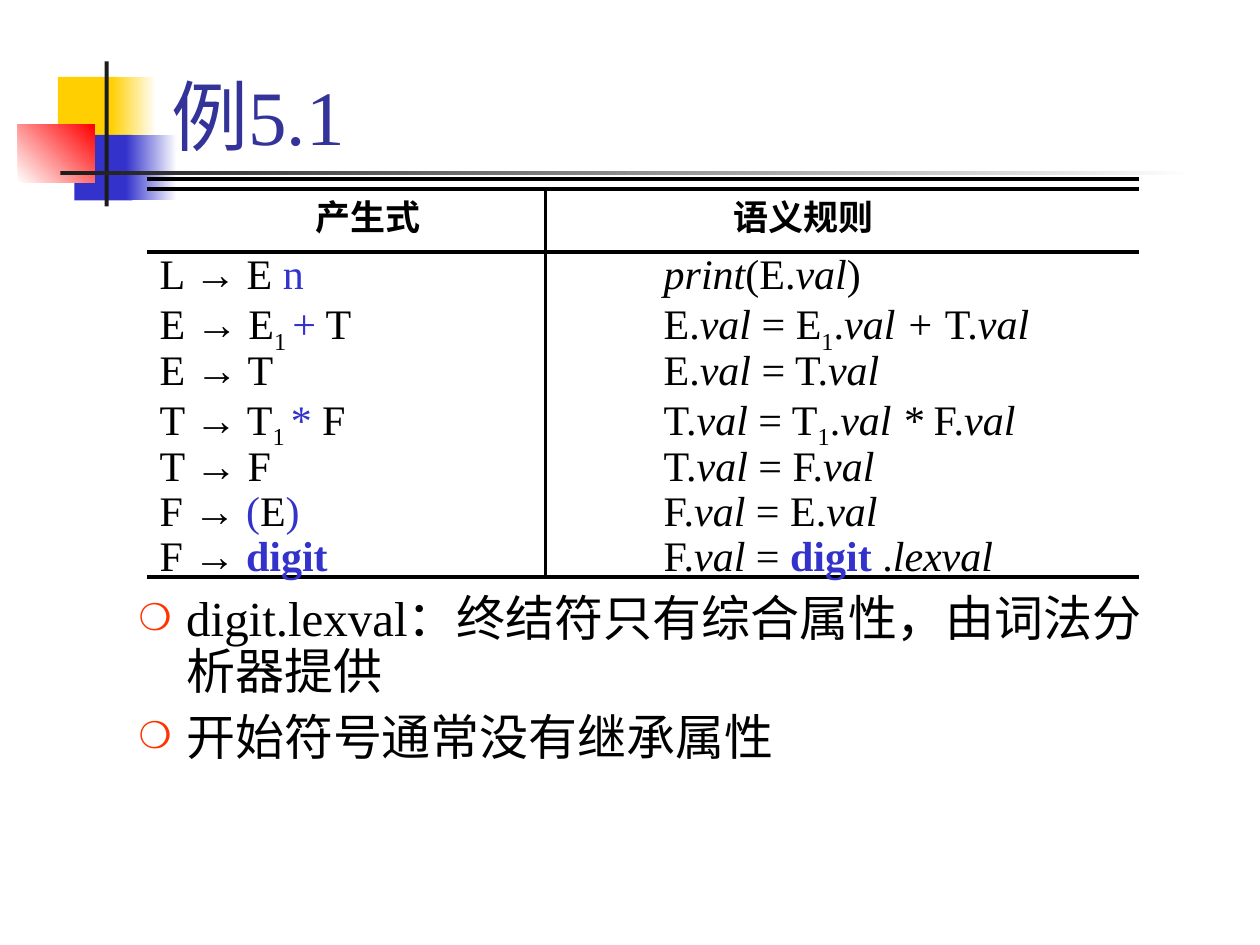
from lxml import etree
from pptx import Presentation
from pptx.dml.color import RGBColor
from pptx.enum.dml import MSO_LINE
from pptx.enum.shapes import MSO_CONNECTOR, MSO_SHAPE
from pptx.enum.text import MSO_ANCHOR, MSO_AUTO_SIZE, PP_ALIGN
from pptx.oxml.ns import qn
from pptx.util import Cm, Pt

RECTANGLE = MSO_SHAPE.RECTANGLE
STRAIGHT = MSO_CONNECTOR.STRAIGHT
SOLID = MSO_LINE.SOLID
BOTTOM, TOP = MSO_ANCHOR.BOTTOM, MSO_ANCHOR.TOP
NO_FIT, GROW = MSO_AUTO_SIZE.NONE, MSO_AUTO_SIZE.SHAPE_TO_FIT_TEXT
LEFT, CENTER = PP_ALIGN.LEFT, PP_ALIGN.CENTER

COLORS = {
    "yellow": "FFCF01", "blue": "3333CC", "red": "FF0000", "dark": "1C1C1C",
    "white": "FFFFFF", "black": "000000", "title": "333399", "bullet": "FF3300",
}
FONT = "Times New Roman"

TITLE = "例5.1"
NOTES = ["digit.lexval：终结符只有综合属性，由词法分析器提供", "开始符号通常没有继承属性"]
HEADERS = [("产生式", 5.51, 3.81), ("语义规则", 13.97, 4.45)]

STYLES = {
    "plain": {},
    "arrow": {"font": "Arial"},
    "italic": {"italic": True},
    "sub": {"subscript": True},
    "token": {"color": "blue"},
    "keyword": {"color": "blue", "bold": True},
}
VAL = ("val", "italic")
RULES = [
    ("L", ["E ", ("n", "token")], [("print", "italic"), "(E.", VAL, ")"]),
    ("E", ["E", ("1 ", "sub"), ("+", "token"), " T"],
     ["E.", VAL, " = E", ("1", "sub"), ".", ("val + ", "italic"), "T.", VAL]),
    ("E", ["T"], ["E.", VAL, " = T.", VAL]),
    ("T", ["T", ("1 ", "sub"), ("*", "token"), " F"],
     ["T.", VAL, " = T", ("1", "sub"), ".", ("val * ", "italic"), "F.", VAL]),
    ("T", ["F"], ["T.", VAL, " = F.", VAL]),
    ("F", [("(", "token"), "E", (")", "token")], ["F.", VAL, " = E.", VAL]),
    ("F", [("digit", "keyword")],
     ["F.", VAL, " = ", ("digit ", "keyword"), ".", ("lexval", "italic")]),
]

DECORATIONS = [
    (1.17, 1.55, 1.22, 1.32, ["yellow"], 0),
    (2.24, 1.55, 0.91, 1.32, ["yellow", "white"], 0),
    (1.5, 2.72, 1.17, 1.32, ["blue"], 0),
    (2.54, 2.72, 1.02, 1.32, ["blue", "white"], 0),
    (0.36, 2.51, 1.55, 1.17, ["white", "red"], 45),
    (2.11, 1.24, 0.08, 2.92, ["dark"], 0),
    (1.22, 3.45, 22.86, 0.08, ["dark", "white"], 0),
]

TABLE_LEFT, TABLE_RIGHT, DIVIDER = 2.97, 22.96, 11
TABLE_TOP, HEADER_TOP, RULES_TOP, TABLE_BOTTOM = 3.61, 3.81, 5.08, 11.63
RULE_TAB = 10.16


def rgb(name):
    return RGBColor.from_string(COLORS[name])


def add_run(paragraph, text, size=24, font=FONT, color="black",
            bold=False, italic=False, subscript=False):
    run = paragraph.add_run()
    run.text = text
    run.font.size = Pt(size)
    run.font.name = font
    run.font.color.rgb = rgb(color)
    run.font.bold = bold
    run.font.italic = italic
    if subscript:
        run.font._element.set("baseline", "-25000")


def format_paragraph(paragraph, align=LEFT, before=0, spacing=1.0):
    paragraph.alignment = align
    paragraph.space_before = Pt(before)
    paragraph.line_spacing = spacing


def add_property(paragraph, tag, **attributes):
    properties = paragraph._p.get_or_add_pPr()
    return etree.SubElement(properties, qn(tag), attributes)


def place(shape, left, top, width, height):
    shape.left, shape.top = Cm(left), Cm(top)
    shape.width, shape.height = Cm(width), Cm(height)


def paragraphs_of(frame, count):
    return [frame.paragraphs[0]] + [frame.add_paragraph() for _ in range(count - 1)]


def add_decoration(slide, left, top, width, height, colors, angle):
    shape = slide.shapes.add_shape(RECTANGLE, Cm(left), Cm(top), Cm(width), Cm(height))
    shape.shadow.inherit = False
    shape.line.fill.background()
    if len(colors) == 1:
        shape.fill.solid()
        shape.fill.fore_color.rgb = rgb(colors[0])
        return
    shape.fill.gradient()
    shape.fill.gradient_angle = angle
    for stop, color in zip(shape.fill.gradient_stops, colors):
        stop.color.rgb = rgb(color)


def add_line(slide, *ends):
    line = slide.shapes.add_connector(STRAIGHT, *[Cm(value) for value in ends])
    line.line.color.rgb = rgb("black")
    line.line.width = Pt(2)
    line.line.dash_style = SOLID
    etree.SubElement(line._element.spPr, qn("a:effectLst"))


def add_text_frame(slide, left, top, width, height):
    frame = slide.shapes.add_textbox(Cm(left), Cm(top), Cm(width), Cm(height)).text_frame
    frame.word_wrap = True
    frame.auto_size = GROW
    return frame


def fill_title(title):
    place(title, 3.2, 0.2, 21.64, 3.18)
    title.text_frame.vertical_anchor = BOTTOM
    title.text_frame.auto_size = NO_FIT
    paragraph = title.text_frame.paragraphs[0]
    format_paragraph(paragraph)
    add_run(paragraph, TITLE, size=44, color="title")


def fill_notes(body):
    place(body, 2.54, 11.86, 21.59, 3.81)
    frame = body.text_frame
    frame.vertical_anchor = TOP
    frame.auto_size = NO_FIT
    for paragraph, note in zip(paragraphs_of(frame, len(NOTES)), NOTES):
        format_paragraph(paragraph, before=7, spacing=0.9)
        properties = paragraph._p.get_or_add_pPr()
        properties.set("marL", str(Cm(0.96)))
        properties.set("indent", str(-Cm(0.96)))
        bullet_color = add_property(paragraph, "a:buClr")
        etree.SubElement(bullet_color, qn("a:srgbClr"), val=COLORS["bullet"])
        add_property(paragraph, "a:buSzPct", val="75000")
        add_property(paragraph, "a:buChar", char="❍")
        add_run(paragraph, note, size=28)


def add_rules(slide):
    frame = add_text_frame(slide, TABLE_LEFT, RULES_TOP, 19.69, 6.73)
    for paragraph, (head, production, rule) in zip(paragraphs_of(frame, len(RULES)), RULES):
        format_paragraph(paragraph, before=3, spacing=0.79)
        tabs = add_property(paragraph, "a:tabLst")
        etree.SubElement(tabs, qn("a:tab"), pos=str(Cm(RULE_TAB)), algn="l")
        pieces = [head + " ", ("→", "arrow"), " ", *production, "\t", *rule]
        for piece in pieces:
            text, style = (piece, "plain") if isinstance(piece, str) else piece
            add_run(paragraph, text, **STYLES[style])


def main():
    presentation = Presentation()
    presentation.slide_width, presentation.slide_height = Cm(25.4), Cm(19.05)
    slide = presentation.slides.add_slide(presentation.slide_layouts[1])
    title, body = slide.placeholders

    for decoration in DECORATIONS:
        add_decoration(slide, *decoration)
    for placeholder in (title, body):
        placeholder._element.getparent().append(placeholder._element)
    fill_title(title)
    fill_notes(body)

    for y in (TABLE_TOP, HEADER_TOP, RULES_TOP, TABLE_BOTTOM):
        add_line(slide, TABLE_LEFT, y, TABLE_RIGHT, y)
    add_line(slide, DIVIDER, HEADER_TOP, DIVIDER, TABLE_BOTTOM)

    add_rules(slide)
    for text, left, width in HEADERS:
        paragraph = add_text_frame(slide, left, HEADER_TOP, width, 1.12).paragraphs[0]
        format_paragraph(paragraph, align=CENTER, before=12.5)
        add_run(paragraph, text, size=20, bold=True)

    presentation.save("out.pptx")


if __name__ == "__main__":
    main()
